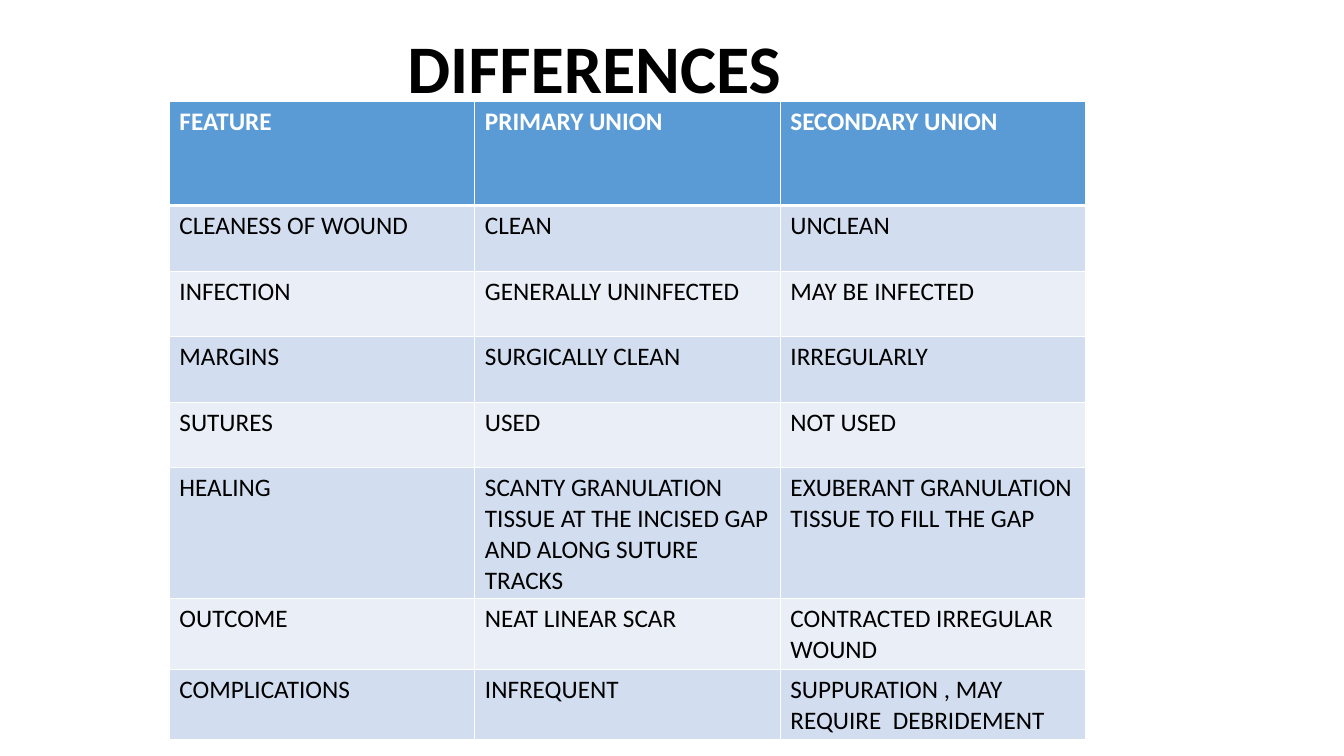
from lxml import etree
from pptx import Presentation
from pptx.dml.color import RGBColor
from pptx.enum import text
from pptx.oxml import ns
from pptx.util import Inches, Pt


def add_run(paragraph, words, size, color, bold):
    run = paragraph.add_run()
    run.text = words
    run.font.name = "Calibri"
    run.font.size = Pt(size)
    run.font.bold = bold
    run.font.color.rgb = RGBColor.from_string(color)


def add_border(cell, side, points, color):
    line = etree.SubElement(cell._tc.get_or_add_tcPr(), ns.qn(f"a:{side}"), w=str(Pt(points)))
    fill = etree.SubElement(line, ns.qn("a:solidFill"))
    etree.SubElement(fill, ns.qn("a:srgbClr"), val=color)


deck = Presentation()
deck.slide_width = Inches(13.33)
deck.slide_height = Inches(7.5)
slide = deck.slides.add_slide(deck.slide_layouts[6])

title = slide.shapes.add_textbox(Inches(0.92), Inches(0.4), Inches(11.5), Inches(0.61)).text_frame
title.word_wrap = True
title.vertical_anchor = text.MSO_ANCHOR.MIDDLE
title.margin_left = Inches(3.12)
title.paragraphs[0].line_spacing = 0.9
add_run(title.paragraphs[0], "DIFFERENCES", 48.6, "000000", True)

differences = [
    ("FEATURE", "PRIMARY UNION", "SECONDARY UNION"),
    ("CLEANESS OF WOUND", "CLEAN", "UNCLEAN"),
    ("INFECTION", "GENERALLY UNINFECTED", "MAY BE INFECTED"),
    ("MARGINS", "SURGICALLY CLEAN", "IRREGULARLY"),
    ("SUTURES", "USED", "NOT USED"),
    ("HEALING", "SCANTY GRANULATION TISSUE AT THE INCISED GAP AND ALONG SUTURE TRACKS",
     "EXUBERANT GRANULATION TISSUE TO FILL THE GAP"),
    ("OUTCOME", "NEAT LINEAR SCAR", "CONTRACTED IRREGULAR WOUND"),
    ("COMPLICATIONS", "INFREQUENT", "SUPPURATION , MAY REQUIRE  DEBRIDEMENT"),
]
comparison = slide.shapes.add_table(
    len(differences), 3, Inches(1.68), Inches(1.01), Inches(9.09), Inches(5.58)).table
for column in comparison.columns:
    column.width = Inches(3.03)

for row, features in enumerate(differences):
    heading = row == 0
    comparison.rows[row].height = Inches(1.03 if heading else 0.65)
    band = "5B9BD5" if heading else ("EAEFF7", "D2DEEF")[row % 2]
    for col, words in enumerate(features):
        cell = comparison.cell(row, col)
        add_run(cell.text_frame.paragraphs[0], words, 18, "FFFFFF" if heading else "000000", heading)
        for side in ("lnL", "lnR", "lnT", "lnB"):
            under_heading = (row, side) in ((0, "lnB"), (1, "lnT"))
            add_border(cell, side, 3 if under_heading else 1, "FFFFFF")
        cell.fill.solid()
        cell.fill.fore_color.rgb = RGBColor.from_string(band)

deck.save("out.pptx")
